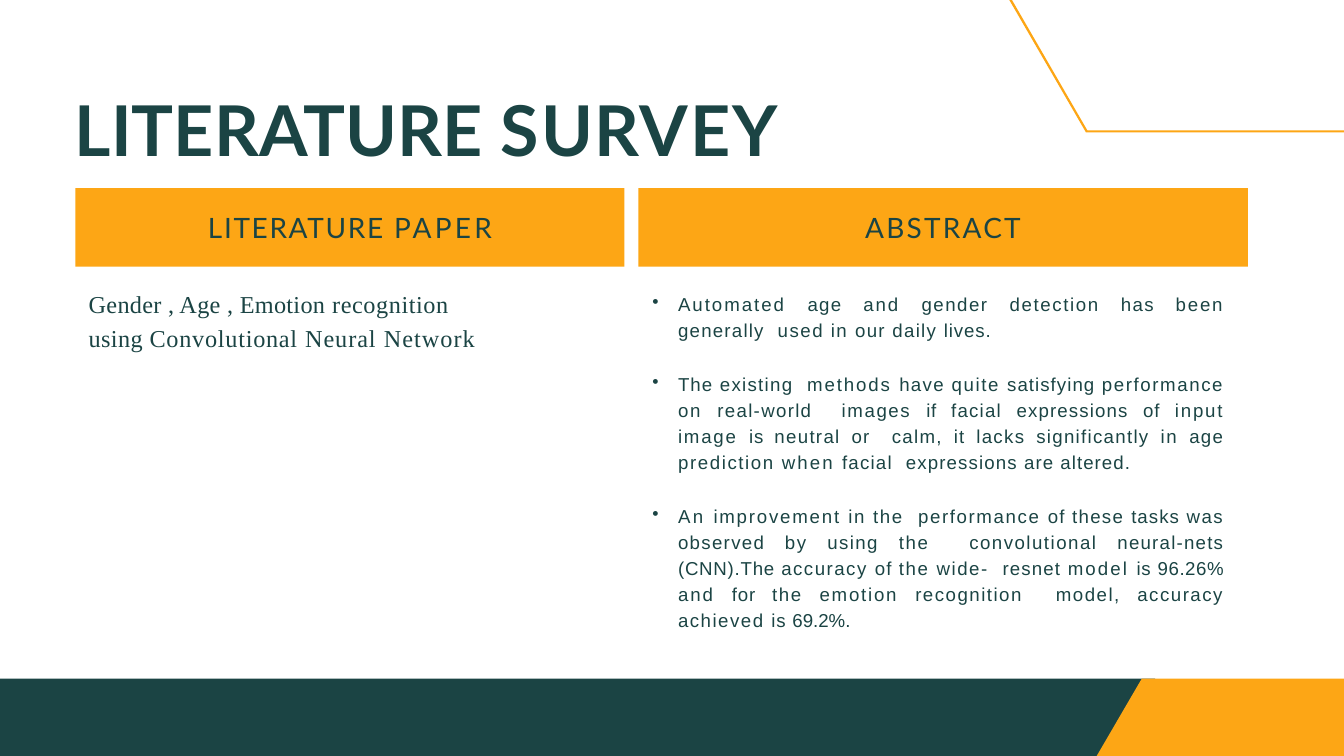
from lxml import etree
from pptx import Presentation
from pptx.dml.color import RGBColor
from pptx.enum.shapes import MSO_SHAPE
from pptx.enum.text import MSO_ANCHOR, PP_ALIGN
from pptx.oxml.ns import qn
from pptx.util import Pt

RECTANGLE = MSO_SHAPE.RECTANGLE
TOP = MSO_ANCHOR.TOP
LEFT, CENTER, JUSTIFY = PP_ALIGN.LEFT, PP_ALIGN.CENTER, PP_ALIGN.JUSTIFY

GREEN = "1B4444"
ORANGE = "FDA615"
WIDTH, HEIGHT = 1440, 810
FOOTER_TOP = 727.2
HEADER_TOP, HEADER_HEIGHT = 201.6, 84.2

PAPER = [
    (0.3, "Gender , Age , Emotion "), (0.6, "recognition  "), (0.4, "using "),
    (0.8, "Convolutional "), (1, "Neural "), (1.1, "Network"),
]

ABSTRACT = [
    [
        (2.1, "Automated "), (1.4, "age "), (2, "and "), (1.6, "gender "),
        (1.7, "detection "), (1.4, "has "), (1.9, "been "), (1.3, "generally  "),
        (1.6, "used in "), (1.4, "our daily "), (0.9, "lives."),
    ],
    [
        (1.1, "The "), (1.4, "existing  "), (2, "methods "), (1.4, "have "),
        (1.7, "quite "), (1.1, "satisfying "), (1.7, "performance "), (1.9, "on "),
        (1.4, "real-world  "), (1.7, "images "), (0.8, "if "), (1.3, "facial "),
        (1.2, "expressions "), (1.1, "of "), (1.9, "input image "), (0.8, "is "),
        (1.4, "neutral "), (1.2, "or  "), (1.4, "calm, "), (1.3, "it "),
        (1.4, "lacks significantly "), (1.6, "in "), (1.4, "age "),
        (1.7, "prediction "), (2.2, "when "), (1.3, "facial  "),
        (1.2, "expressions "), (1.1, "are altered."),
    ],
    [
        (2.5, "An "), (1.9, "improvement "), (1.6, "in "), (1.7, "the  performance "),
        (1.1, "of "), (1.4, "these "), (1.1, "tasks "), (1.6, "was "),
        (1.4, "observed "), (1.6, "by "), (1.5, "using "), (1.7, "the  "),
        (1.6, "convolutional "), (1.3, "neural-nets "), (0.8, "(CNN).The "),
        (1.6, "accuracy "), (1.1, "of "), (1.7, "the "), (1.6, "wide-  "),
        (1.2, "resnet "), (2.2, "model "), (0.8, "is "), (0.6, "96.26% "),
        (2, "and "), (0.9, "for "), (1.7, "the "), (1.9, "emotion "),
        (1.6, "recognition  model, accuracy achieved "), (0.8, "is "), (0, "69.2%."),
    ],
]


def color(value):
    return RGBColor.from_string(value)


def paint(shape, fill):
    shape.shadow.inherit = False
    shape.fill.solid()
    shape.fill.fore_color.rgb = color(fill)
    shape.line.fill.background()


def add_block(slide, left, top, width, height, fill):
    block = slide.shapes.add_shape(RECTANGLE, Pt(left), Pt(top), Pt(width), Pt(height))
    paint(block, fill)
    return block


def add_polygon(slide, points, fill):
    start, *rest = [(Pt(x), Pt(y)) for x, y in points]
    builder = slide.shapes.build_freeform(*start)
    builder.add_line_segments(rest, close=True)
    paint(builder.convert_to_shape(), fill)


def prepare_frame(shape, top_inset):
    frame = shape.text_frame
    frame.word_wrap = True
    frame.vertical_anchor = TOP
    frame.margin_left = frame.margin_right = frame.margin_bottom = 0
    frame.margin_top = Pt(top_inset)
    return frame


def add_text_frame(slide, left, top, width, height):
    box = slide.shapes.add_textbox(Pt(left), Pt(top), Pt(width), Pt(height))
    return prepare_frame(box, 0.7)


def write_spaced(paragraph, pieces, font, size, align=LEFT, bold=False):
    paragraph.alignment = align
    for spacing, words in pieces:
        run = paragraph.add_run()
        run.text = words
        run.font.name = font
        run.font.size = Pt(size)
        run.font.bold = bold
        run.font.color.rgb = color(GREEN)
        run._r.get_or_add_rPr().set("spc", str(round(spacing * 100)))


def add_bullet(paragraph):
    properties = paragraph._p.get_or_add_pPr()
    properties.set("marL", str(Pt(28.1)))
    properties.set("indent", str(Pt(-27.4)))
    etree.SubElement(properties, qn("a:buChar")).set("char", "•")


def add_header(slide, left, width, pieces):
    header = add_block(slide, left, HEADER_TOP, width, HEADER_HEIGHT, ORANGE)
    frame = prepare_frame(header, 24)
    write_spaced(frame.paragraphs[0], pieces, "Lato", 30, CENTER)


def add_paper(slide):
    paragraph = add_text_frame(slide, 95, 304.6, 450.7, 73.4).paragraphs[0]
    write_spaced(paragraph, PAPER, "Times New Roman", 26)
    paragraph.line_spacing = 1.15


def add_abstract(slide):
    frame = add_text_frame(slide, 698.4, 309.6, 613.4, 370.8)
    for index, pieces in enumerate(ABSTRACT):
        paragraph = frame.add_paragraph() if index else frame.paragraphs[0]
        write_spaced(paragraph, pieces, "Arial", 20, JUSTIFY)
        paragraph.line_spacing = 1.16
        paragraph.space_before = Pt(30 if index else 1)
        add_bullet(paragraph)


def add_footer(slide):
    add_block(slide, 0, FOOTER_TOP, 1237.7, HEIGHT - FOOTER_TOP, GREEN)
    add_polygon(slide, [(WIDTH, HEIGHT), (1175, HEIGHT), (1223.3, FOOTER_TOP),
                        (WIDTH, FOOTER_TOP)], ORANGE)


def add_title(slide):
    title = add_text_frame(slide, 79.9, 92.2, 817.2, 92.2).paragraphs[0]
    write_spaced(title, [(0.2, "LITERATURE "), (1.9, "SURVEY")], "Lato", 75, bold=True)


def main():
    deck = Presentation()
    deck.slide_width, deck.slide_height = Pt(WIDTH), Pt(HEIGHT)
    slide = deck.slides.add_slide(deck.slide_layouts[6])
    add_header(slide, 80.9, 588.2, [(1.8, "LITERATURE "), (3.5, "PAPER")])
    add_header(slide, 684, 653, [(2.4, "ABSTRACT")])
    add_paper(slide)
    add_abstract(slide)
    add_footer(slide)
    add_title(slide)
    add_polygon(slide, [(1163.5, 141.8), (WIDTH, 141.8), (WIDTH, 139.7),
                        (1165, 139.7), (1084.3, 0), (1081.4, 0)], ORANGE)
    deck.save("out.pptx")


if __name__ == "__main__":
    main()
